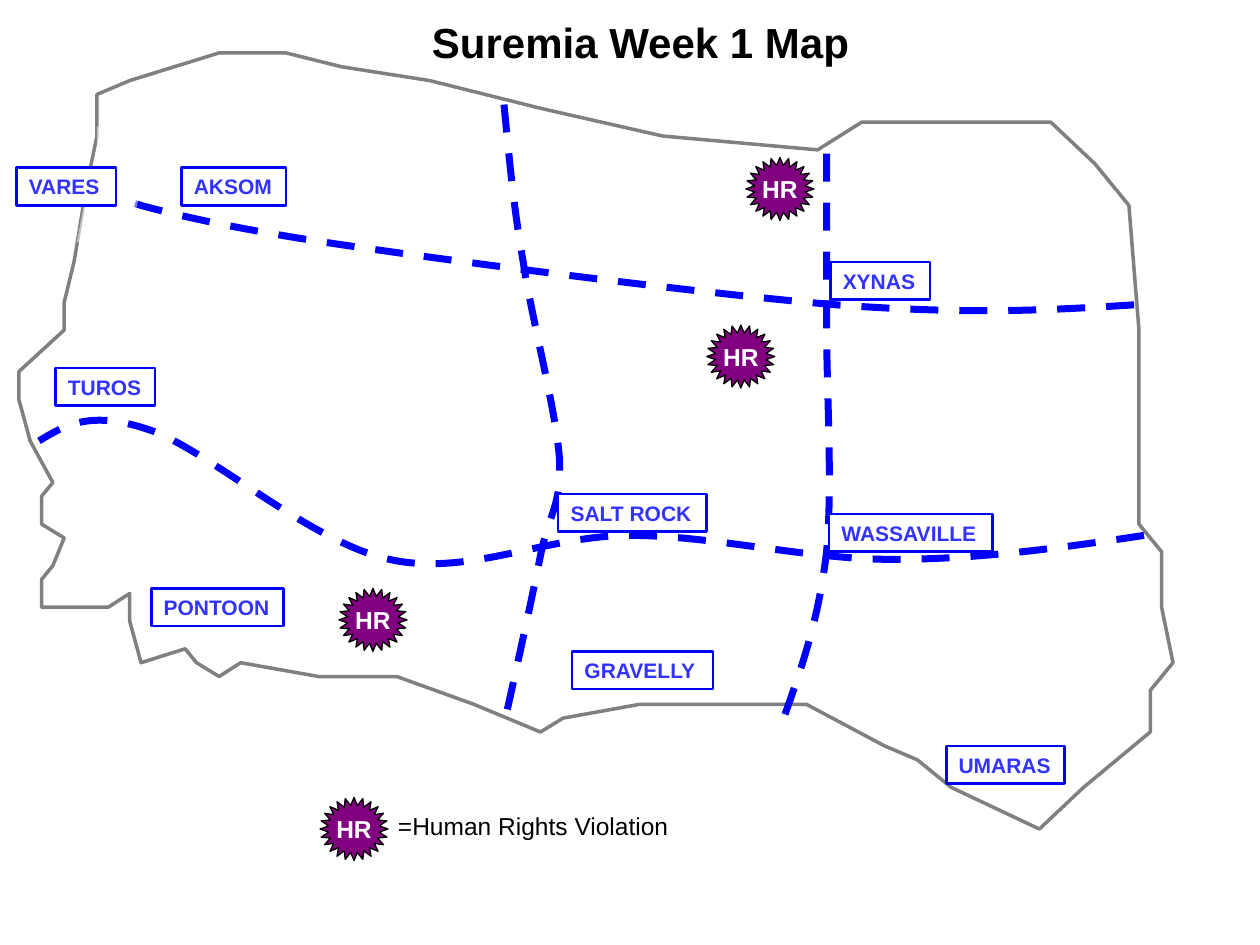
from lxml.etree import SubElement
from pptx import Presentation
from pptx.dml.color import RGBColor
from pptx.enum.dml import MSO_LINE
from pptx.enum.shapes import MSO_SHAPE
from pptx.enum.text import MSO_ANCHOR, MSO_AUTO_SIZE, PP_ALIGN
from pptx.oxml.ns import qn
from pptx.util import Inches, Pt


def color(value):
    return RGBColor.from_string(value)


def write(sp, text, size, value, bold, align=PP_ALIGN.LEFT, anchor=MSO_ANCHOR.TOP):
    tf = sp.text_frame
    tf.text = text
    tf.word_wrap = False
    tf.vertical_anchor = anchor
    p = tf.paragraphs[0]
    p.alignment = align
    font = p.runs[0].font
    font.name, font.size, font.bold = "Arial", Pt(size), bold
    font.color.rgb = color(value)


prs = Presentation()
prs.slide_width, prs.slide_height = Inches(10), Inches(7.5)
s = prs.slides.add_slide(prs.slide_layouts[6])
shapes = s.shapes
cell = prs.slide_width // 1000

border = [
    (174, 537), (156, 526), (147, 515), (112, 526), (103, 493), (103, 471),
    (86, 482), (33, 482), (33, 460), (42, 449), (51, 427), (33, 416),
    (33, 394), (42, 383), (24, 350), (15, 317), (15, 295), (51, 262),
    (51, 240), (59, 207), (68, 152), (77, 108), (77, 75), (103, 64),
    (174, 42), (227, 42), (271, 53), (341, 64), (429, 86), (526, 108),
    (649, 119), (684, 97), (834, 97), (869, 130), (896, 163), (904, 262),
    (904, 416), (922, 438), (922, 482), (931, 526), (913, 548), (913, 581),
    (860, 625), (825, 658), (755, 625), (728, 603), (702, 592), (640, 559),
    (508, 559), (447, 570), (429, 581), (376, 559), (315, 537), (253, 537),
    (191, 526),
]
fade = [(69, 150), (77, 117), (77, 100), (108, 117), (115, 133),
        (108, 167), (92, 200), (61, 192)]
roads = [
    [(900, 242), (836, 246), (773, 250), (664, 242), (555, 233), (348, 206),
     (249, 191), (149, 175), (109, 163), (69, 150)],
    [(908, 425), (842, 435), (776, 444), (708, 444), (640, 444), (566, 425),
     (500, 425), (433, 425), (372, 458), (309, 444), (245, 430), (164, 356),
     (118, 341), (71, 325), (51, 338), (31, 350)],
    [(623, 567), (637, 528), (650, 490), (656, 438), (661, 386), (656, 310),
     (656, 256), (656, 202), (656, 160), (656, 117)],
    [(400, 83), (404, 122), (407, 160), (415, 206), (422, 253), (441, 324),
     (444, 363), (446, 402), (436, 406), (429, 441), (422, 476), (411, 526),
     (400, 575)],
]

for points in [border, *roads, fade]:
    builder = shapes.build_freeform(*points[0], scale=cell)
    builder.add_line_segments(points[1:], close=points not in roads)
    sp = builder.convert_to_shape()
    sp.shadow.inherit = False
    if points is fade:
        sp.line.fill.background()
        sp.fill.solid()
        sp.fill.fore_color.rgb = color("FFFFFF")
        fill = sp.fill._xPr.find(qn("a:solidFill"))
        SubElement(fill[0], qn("a:alpha"), val="50000")
        continue
    sp.fill.background()
    sp.line.color.rgb = color("808080" if points is border else "0000FF")
    sp.line.width = Pt(2 if points is border else 4)
    if points in roads:
        sp.line.dash_style = MSO_LINE.DASH
        steps = list(sp._element.iter(qn("a:lnTo")))
        for i in range(0, len(steps), 3):
            curve = SubElement(steps[i].getparent(), qn("a:cubicBezTo"))
            for step in steps[i:i + 3]:
                curve.append(step[0])
                step.getparent().remove(step)

towns = [
    ("AKSOM", 144, 133, 83), ("XYNAS", 659, 208, 79),
    ("PONTOON", 120, 467, 105), ("UMARAS", 751, 592, 94),
    ("WASSAVILLE", 658, 408, 130), ("SALT ROCK", 443, 392, 118),
    ("TUROS", 44, 292, 79), ("VARES", 13, 133, 79),
    ("GRAVELLY", 454, 517, 112),
]
for name, x, y, w in towns:
    sp = shapes.add_shape(MSO_SHAPE.RECTANGLE, x * cell, y * cell, w * cell, 30 * cell)
    sp.shadow.inherit = False
    sp.fill.solid()
    sp.fill.fore_color.rgb = color("FFFFFF")
    sp.line.color.rgb = color("0000FF")
    sp.line.width = Pt(1.5)
    write(sp, name, 12, "3333FF", True)
    sp.text_frame.auto_size = MSO_AUTO_SIZE.SHAPE_TO_FIT_TEXT

for x, y in [(269, 467), (561, 258), (592, 125), (254, 633)]:
    sp = shapes.add_shape(MSO_SHAPE.STAR_24_POINT, x * cell, y * cell, 54 * cell, 50 * cell)
    sp.shadow.inherit = False
    sp.fill.solid()
    sp.fill.fore_color.rgb = color("800080")
    sp.line.color.rgb = color("000000")
    sp.line.width = Pt(0)
    write(sp, "HR", 14, "FFFFFF", True, PP_ALIGN.CENTER, MSO_ANCHOR.MIDDLE)

captions = [
    ("Suremia Week 1 Map", 333, 8, 351, 50, 24, True),
    ("=Human Rights Violation", 306, 639, 235, 34, 14, False),
]
for text, x, y, w, h, size, bold in captions:
    sp = shapes.add_textbox(x * cell, y * cell, w * cell, h * cell)
    write(sp, text, size, "000000", bold)
    sp.text_frame.auto_size = MSO_AUTO_SIZE.SHAPE_TO_FIT_TEXT

prs.save("out.pptx")
